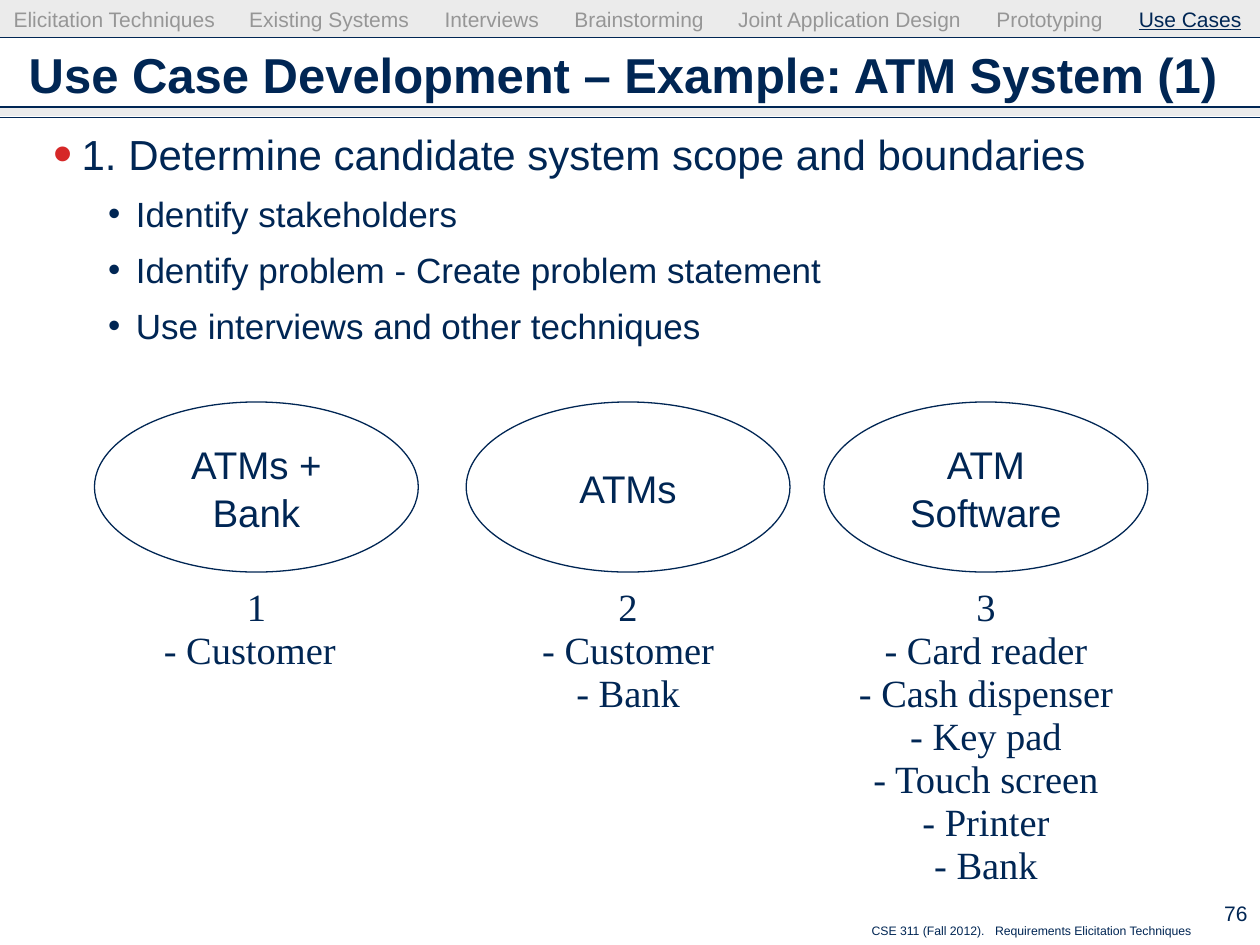
from dataclasses import dataclass

from lxml.etree import SubElement
from pptx import Presentation
from pptx.dml.color import RGBColor
from pptx.enum.shapes import MSO_CONNECTOR, MSO_SHAPE as Shape
from pptx.enum.text import MSO_ANCHOR as Anchor, PP_ALIGN as Align
from pptx.oxml.ns import qn
from pptx.util import Inches, Pt

NAVY, RED, GREY, BAND = "002654", "D62828", "969696", "CDCDCD"
SANS, SERIF = "Arial", "Times New Roman"
OVAL_TOP, OVAL_WIDTH, OVAL_HEIGHT = 3.19, 2.57, 1.35
ACTORS_TOP = 4.62
WIDE_INSETS = (0.1, 0.05, 0.1, 0.05)
TIGHT_INSETS = (0.09, 0.04, 0.09, 0.04)


@dataclass
class Scope:
    name: str
    left: float
    actors: list[str]
    actors_width: float
    actor_align: Align = Align.CENTER


@dataclass
class Point:
    text: str
    size: int
    indent: float
    bullet_color: str = NAVY
    bullet_percent: int = 100
    level: int = 0


SCOPES = [
    Scope("ATMs + Bank", 0.75, ["Customer"], 1.65, Align.LEFT),
    Scope("ATMs", 3.7, ["Customer", "Bank"], 1.65),
    Scope("ATM Software", 6.54,
          ["Card reader", "Cash dispenser", "Key pad", "Touch screen", "Printer", "Bank"], 2.4),
]
POINTS = [Point("1. Determine candidate system scope and boundaries", 24, 0.42, RED, 130)] + [
    Point(text, 20, 0.85, level=1)
    for text in ("Identify stakeholders",
                 "Identify problem - Create problem statement",
                 "Use interviews and other techniques")
]
TOPICS = ["Elicitation Techniques", "Existing Systems", "Interviews", "Brainstorming",
          "Joint Application Design", "Prototyping"]
TOPIC_TABS = [1.87, 3.42, 4.45, 5.75, 7.8, 8.93]


def rgb(color: str) -> RGBColor:
    return RGBColor.from_string(color)


def apply(target, values: dict) -> None:
    for name, value in values.items():
        setattr(target, name, value)


def set_frame(shape, insets=WIDE_INSETS, anchor=Anchor.TOP):
    frame = shape.text_frame
    left, top, right, bottom = map(Inches, insets)
    apply(frame, dict(margin_left=left, margin_top=top, margin_right=right,
                      margin_bottom=bottom, word_wrap=True, vertical_anchor=anchor))
    return frame


def add_frame(slide, left: float, top: float, width: float, height: float, **layout):
    box = slide.shapes.add_textbox(Inches(left), Inches(top), Inches(width), Inches(height))
    return set_frame(box, **layout)


def add_run(paragraph, text: str, size: float, color: str = NAVY, face: str = SANS, **style):
    run = paragraph.add_run()
    run.text = text
    apply(run.font, dict(size=Pt(size), name=face, **style))
    run.font.color.rgb = rgb(color)


def next_paragraph(frame, index: int):
    return frame.add_paragraph() if index else frame.paragraphs[0]


def set_tabs(paragraph, positions: list[float]) -> None:
    tabs = SubElement(paragraph._p.get_or_add_pPr(), qn("a:tabLst"))
    for position in positions:
        SubElement(tabs, qn("a:tab"), pos=str(Inches(position)), algn="l")


def set_bullet(paragraph, point: Point) -> None:
    properties = paragraph._p.get_or_add_pPr()
    properties.set("marL", str(Inches(point.indent)))
    properties.set("indent", str(Inches(-0.22)))
    color = SubElement(properties, qn("a:buClr"))
    SubElement(color, qn("a:srgbClr"), val=point.bullet_color)
    SubElement(properties, qn("a:buSzPct"), val=str(point.bullet_percent * 1000))
    SubElement(properties, qn("a:buFont"), typeface=SANS)
    SubElement(properties, qn("a:buChar"), char="•")


def add_band(slide, top: float, height: float) -> None:
    """Draw a full-width translucent grey strip."""
    band = slide.shapes.add_shape(Shape.RECTANGLE, 0, Inches(top), Inches(10), Inches(height))
    band.shadow.inherit = False
    band.fill.solid()
    band.fill.fore_color.rgb = rgb(BAND)
    color = band.fill._xPr.find(qn("a:solidFill"))[0]
    SubElement(color, qn("a:alpha"), val="40000")
    band.line.fill.background()


def add_rule(slide, top: float) -> None:
    rule = slide.shapes.add_connector(MSO_CONNECTOR.STRAIGHT, 0, Inches(top), Inches(10), Inches(top))
    rule.line.color.rgb = rgb(NAVY)
    rule.line.width = Pt(0.75)
    SubElement(rule._element.spPr, qn("a:effectLst"))


def add_points(slide) -> None:
    frame = add_frame(slide, 0.13, 1.01, 9.74, 2.1)
    for index, point in enumerate(POINTS):
        paragraph = next_paragraph(frame, index)
        set_bullet(paragraph, point)
        apply(paragraph, dict(level=point.level, line_spacing=Pt(26),
                              space_before=Pt(6 if index else 0)))
        add_run(paragraph, point.text, point.size)


def add_scope(slide, number: int, scope: Scope) -> None:
    """Draw a scope oval with its number and actors centred below it."""
    oval = slide.shapes.add_shape(Shape.OVAL, Inches(scope.left), Inches(OVAL_TOP),
                                  Inches(OVAL_WIDTH), Inches(OVAL_HEIGHT))
    oval.shadow.inherit = False
    oval.fill.background()
    oval.line.color.rgb = rgb(NAVY)
    oval.line.width = Pt(0.75)
    label = set_frame(oval, TIGHT_INSETS, Anchor.MIDDLE).paragraphs[0]
    apply(label, dict(alignment=Align.CENTER, line_spacing=1.04))
    add_run(label, scope.name, 22)

    lines = [str(number)] + [f"- {actor}" for actor in scope.actors]
    left = scope.left + (OVAL_WIDTH - scope.actors_width) / 2
    frame = add_frame(slide, left, ACTORS_TOP, scope.actors_width,
                      0.1 + 0.34 * len(lines), insets=TIGHT_INSETS)
    for index, line in enumerate(lines):
        paragraph = next_paragraph(frame, index)
        apply(paragraph, dict(alignment=scope.actor_align if index else Align.CENTER,
                              line_spacing=0.93))
        add_run(paragraph, line, 22, face=SERIF)


def add_navigation(slide) -> None:
    topics = add_frame(slide, 0.01, 0.05, 9.97, 0.25, insets=(0.1, 0, 0, 0.05)).paragraphs[0]
    set_tabs(topics, TOPIC_TABS)
    for topic in TOPICS:
        add_run(topics, f"{topic}\t", 12, GREY)
    add_run(topics, "Use Cases", 12, underline=True)


def add_footer(slide) -> None:
    course = add_frame(slide, 6.82, 7.28, 2.74, 0.22).paragraphs[0]
    set_tabs(course, [0.98])
    add_run(course, "CSE 311 (Fall 2012).\tRequirements Elicitation Techniques", 7)
    page = add_frame(slide, 9.3, 7.08, 0.7, 0.34, anchor=Anchor.MIDDLE).paragraphs[0]
    page.alignment = Align.RIGHT
    add_run(page, "76", 12)


def main() -> None:
    deck = Presentation()
    deck.slide_width, deck.slide_height = Inches(10), Inches(7.5)
    slide = deck.slides.add_slide(deck.slide_layouts[6])
    for top, height in ((0, 0.3), (0.85, 0.07)):
        add_band(slide, top, height)
    for top in (0.3, 0.85, 0.93):
        add_rule(slide, top)
    title = add_frame(slide, 0.13, 0.26, 9.74, 0.66, anchor=Anchor.MIDDLE).paragraphs[0]
    add_run(title, "Use Case Development – Example: ATM System (1)", 28, bold=True)
    add_points(slide)
    for number, scope in enumerate(SCOPES, start=1):
        add_scope(slide, number, scope)
    add_navigation(slide)
    add_footer(slide)
    deck.save("out.pptx")


if __name__ == "__main__":
    main()
